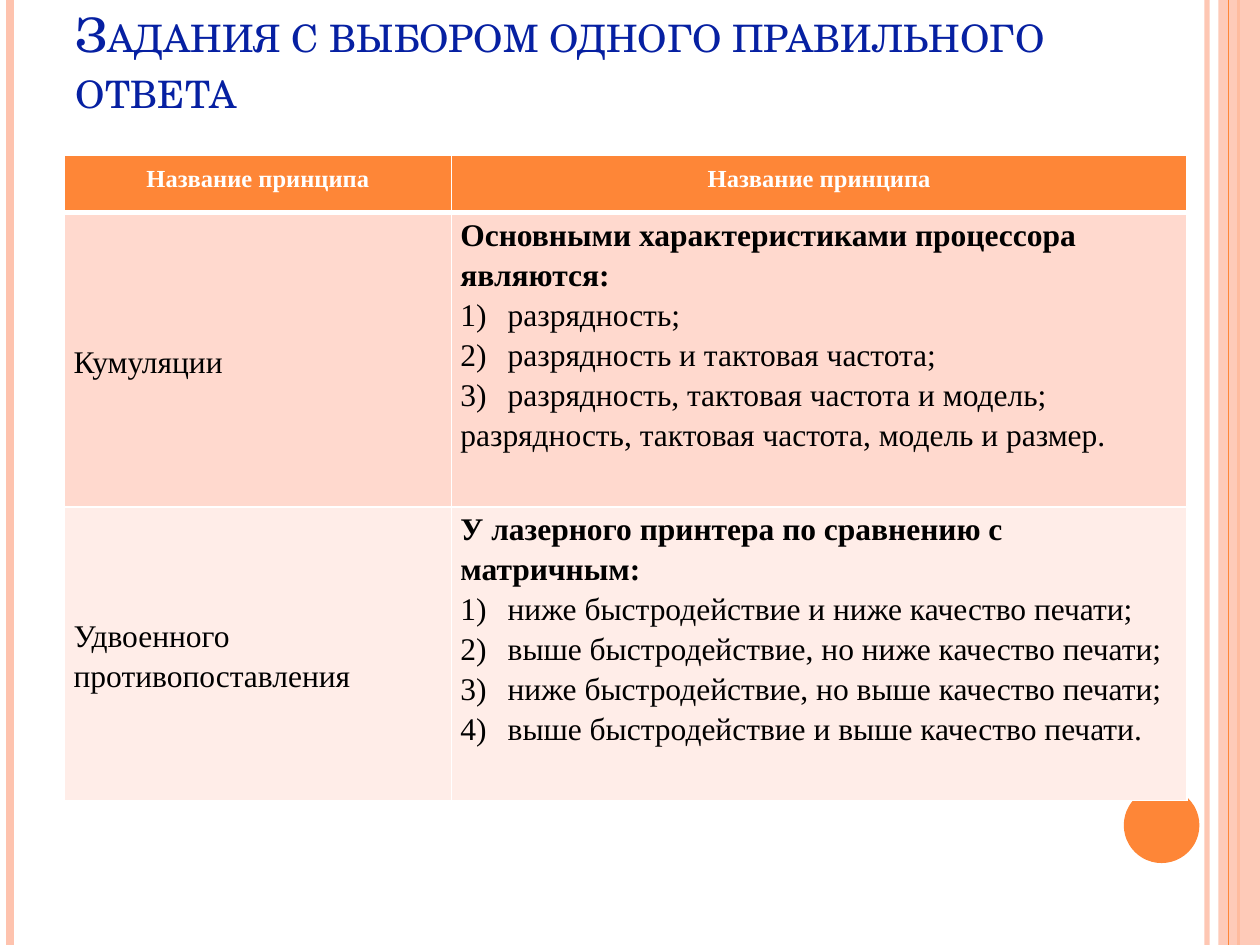
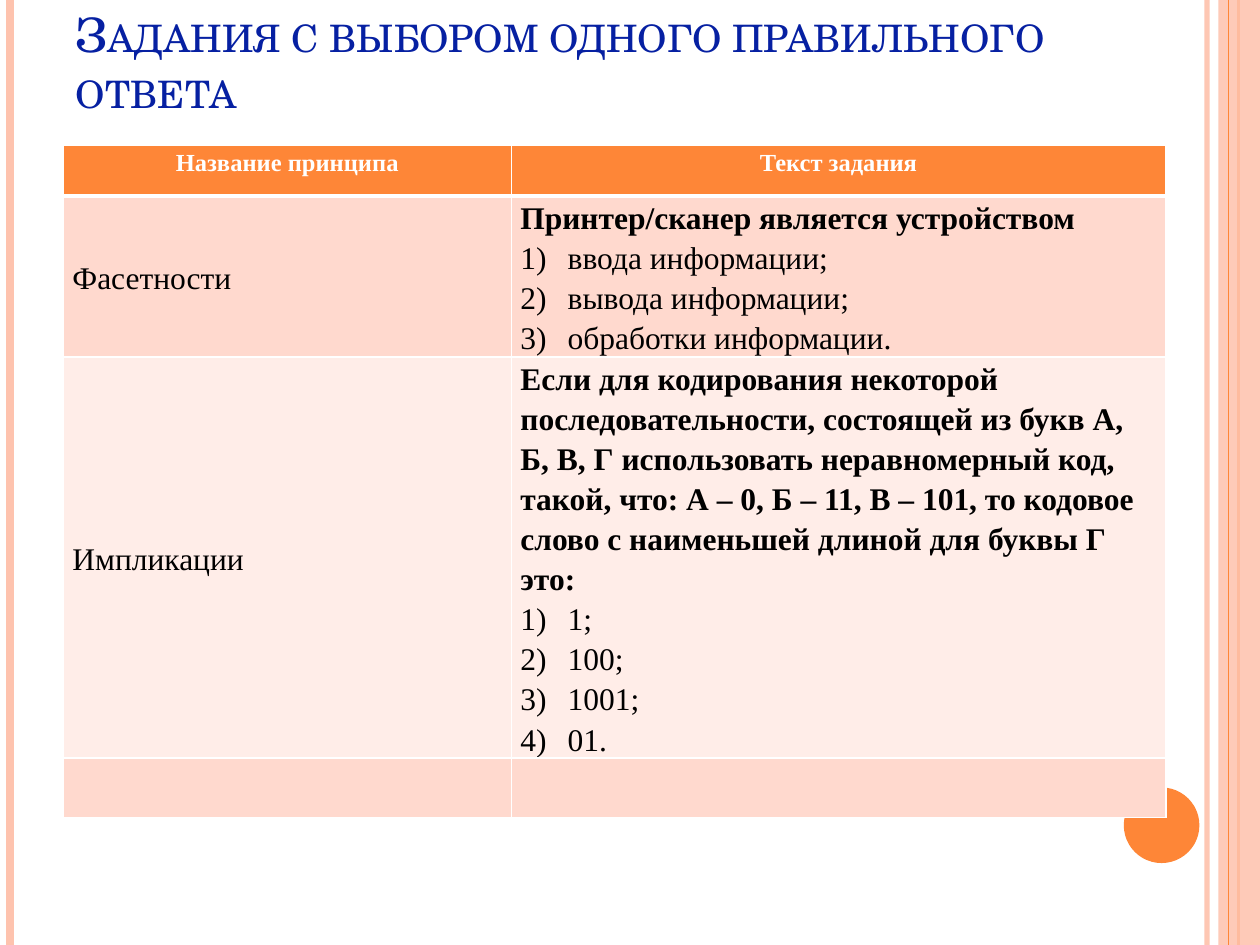
from dataclasses import dataclass

from pptx import Presentation
from pptx.dml.color import RGBColor
from pptx.enum.shapes import MSO_CONNECTOR, MSO_SHAPE
from pptx.enum.text import MSO_ANCHOR, MSO_AUTO_SIZE, PP_ALIGN
from pptx.oxml.ns import qn
from pptx.util import Pt
from lxml.etree import SubElement


@dataclass(frozen=True)
class Theme:
    orange: str = "FE8637"
    peach: str = "FEC3AE"
    title_blue: str = "0620A2"
    white: str = "FFFFFF"
    black: str = "000000"
    bands: tuple = ("FFD9CE", "FFEDE8")
    title_font: str = "TeX Gyre Schola"
    table_font: str = "Times New Roman"
    title_size: int = 27
    header_size: int = 14
    body_size: int = 18
    line_spacing: float = 1.15


THEME = Theme()
WIDTH, HEIGHT = 720, 540
TITLE = "Задания с выбором одного правильного ответа"
TITLE_BOX = (36, 21.6, 647.3, 49.7)

STRIPES_BEHIND = [(689.8, THEME.peach, 3, 93), (5.8, THEME.peach, 4.5, 100),
                  (707.8, THEME.orange, 1.5, 100)]
STRIPES_FRONT = [(702, THEME.orange, 0.75, 100)]
SIDE_BAND = (696.2, 0, WIDTH - 696.2, HEIGHT)
CIRCLE = (642.2, 450, 43.2, 43.2)

TABLES = [
    {
        "origin": (36.9, 88.6),
        "columns": (221, 420.5),
        "rows": (33, 168, 168),
        "header": ("Название принципа", "Название принципа"),
        "header_insets": (7.2, 3.6),
        "tasks": [
            ("Кумуляции",
             "Основными характеристиками процессора являются:",
             ["разрядность;",
              "разрядность и тактовая частота;",
              "разрядность, тактовая частота и модель;"],
             "разрядность, тактовая частота, модель и размер."),
            ("Удвоенного противопоставления",
             "У лазерного принтера по сравнению с матричным:",
             ["ниже быстродействие и ниже качество печати;",
              "выше быстродействие, но ниже качество печати;",
              "ниже быстродействие, но выше качество печати;",
              "выше быстродействие и выше качество печати."],
             None),
        ],
    },
    {
        "origin": (36.2, 83),
        "columns": (256, 374),
        "rows": (29, 92, 229, 34),
        "header": ("Название принципа", "Текст задания"),
        "header_insets": (5.2, 0),
        "tasks": [
            ("Фасетности",
             "Принтер/сканер является устройством",
             ["ввода информации;", "вывода информации;", "обработки информации."],
             None),
            ("Импликации",
             "Если для кодирования некоторой последовательности, состоящей из букв "
             "А, Б, В, Г использовать неравномерный код, такой, что: А – 0, Б – 11, "
             "В – 101, то кодовое слово с наименьшей длиной для буквы Г это:",
             ["1;", "100;", "1001;", "01."],
             None),
        ],
    },
]
BODY_INSETS = (5.2, 0)
ANSWER_INDENT = 27


def points(values):
    return [Pt(value) for value in values]


def color(value):
    return RGBColor.from_string(value)


def set_alpha(shape, percent):
    if percent < 100:
        for node in shape.element.spPr.iter(qn("a:srgbClr")):
            SubElement(node, qn("a:alpha"), val=str(percent * 1000))


def add_stripe(shapes, x, stripe_color, width, alpha):
    stripe = shapes.add_connector(MSO_CONNECTOR.STRAIGHT, *points((x, 0, x, HEIGHT)))
    stripe.line.color.rgb = color(stripe_color)
    stripe.line.width = Pt(width)
    set_alpha(stripe, alpha)
    SubElement(stripe.element.spPr, qn("a:effectLst"))
    return stripe


def add_filled(shapes, kind, box, fill_color, alpha=100):
    shape = shapes.add_shape(kind, *points(box))
    shape.shadow.inherit = False
    shape.fill.solid()
    shape.fill.fore_color.rgb = color(fill_color)
    shape.line.fill.background()
    set_alpha(shape, alpha)
    return shape


def decorate_master(slide, master):
    shapes = slide.shapes
    decorations = [
        *[add_stripe(shapes, *stripe) for stripe in STRIPES_BEHIND],
        add_filled(shapes, MSO_SHAPE.RECTANGLE, SIDE_BAND, THEME.peach, 87),
        *[add_stripe(shapes, *stripe) for stripe in STRIPES_FRONT],
        add_filled(shapes, MSO_SHAPE.OVAL, CIRCLE, THEME.orange),
    ]
    for number, shape in enumerate(decorations, start=101):
        shape.element.xpath(".//p:cNvPr")[0].set("id", str(number))
        master.shapes.element.append(shape.element)


def format_runs(paragraph, font_name, size, font_color, bold=False):
    for run in paragraph.runs:
        run.font.name = font_name
        run.font.size = Pt(size)
        run.font.bold = bold
        run.font.color.rgb = color(font_color)


def set_title(slide):
    title = slide.shapes.title
    title.left, title.top, title.width, title.height = points(TITLE_BOX)
    frame = title.text_frame
    frame.text = TITLE
    frame.auto_size = MSO_AUTO_SIZE.NONE
    frame.word_wrap = True
    frame.vertical_anchor = MSO_ANCHOR.BOTTOM
    paragraph = frame.paragraphs[0]
    paragraph.alignment = PP_ALIGN.LEFT
    format_runs(paragraph, THEME.title_font, THEME.title_size, THEME.title_blue)
    paragraph.runs[0].font._element.set("cap", "small")


def style_cell(cell, fill_color, insets, bottom_border=1):
    properties = cell._tc.get_or_add_tcPr()
    for side, width in (("L", 1), ("R", 1), ("T", 1), ("B", bottom_border)):
        line = SubElement(properties, qn(f"a:ln{side}"), w=str(Pt(width)))
        SubElement(SubElement(line, qn("a:solidFill")), qn("a:srgbClr"), val=THEME.white)
    cell.fill.solid()
    cell.fill.fore_color.rgb = color(fill_color)
    cell.margin_left = cell.margin_right = Pt(insets[0])
    cell.margin_top = cell.margin_bottom = Pt(insets[1])


def write_paragraph(paragraph, text, alignment=PP_ALIGN.LEFT, bold=False,
                    size=THEME.body_size, font_color=THEME.black):
    paragraph.text = text
    paragraph.alignment = alignment
    paragraph.line_spacing = THEME.line_spacing
    format_runs(paragraph, THEME.table_font, size, font_color, bold)


def number_answer(paragraph):
    properties = paragraph._p.get_or_add_pPr()
    properties.set("marL", str(Pt(ANSWER_INDENT)))
    properties.set("indent", str(-Pt(ANSWER_INDENT)))
    SubElement(properties, qn("a:buFont"), typeface="+mj-lt")
    SubElement(properties, qn("a:buAutoNum"), type="arabicParenR")


def write_task(name_cell, task_cell, name, question, answers, closing):
    name_cell.vertical_anchor = MSO_ANCHOR.MIDDLE
    write_paragraph(name_cell.text_frame.paragraphs[0], name)
    frame = task_cell.text_frame
    write_paragraph(frame.paragraphs[0], question, bold=True)
    for answer in answers:
        paragraph = frame.add_paragraph()
        write_paragraph(paragraph, answer, PP_ALIGN.JUSTIFY)
        number_answer(paragraph)
    if closing:
        write_paragraph(frame.add_paragraph(), closing, PP_ALIGN.JUSTIFY)


def add_task_table(slide, data):
    columns, rows = data["columns"], data["rows"]
    box = (*data["origin"], sum(columns), sum(rows))
    table = slide.shapes.add_table(len(rows), len(columns), *points(box)).table
    for column, width in zip(table.columns, columns):
        column.width = Pt(width)
    for index, (row, height) in enumerate(zip(table.rows, rows)):
        row.height = Pt(height)
        for cell in row.cells:
            if index == 0:
                style_cell(cell, THEME.orange, data["header_insets"], 3)
            else:
                style_cell(cell, THEME.bands[(index - 1) % 2], BODY_INSETS)
    for cell, text in zip(table.rows[0].cells, data["header"]):
        write_paragraph(cell.text_frame.paragraphs[0], text, PP_ALIGN.CENTER, True,
                        THEME.header_size, THEME.white)
    for index, task in enumerate(data["tasks"], start=1):
        write_task(table.cell(index, 0), table.cell(index, 1), *task)


def main():
    presentation = Presentation()
    presentation.slide_width, presentation.slide_height = points((WIDTH, HEIGHT))
    layout = presentation.slide_layouts.get_by_name("Title Only")
    for index, data in enumerate(TABLES):
        slide = presentation.slides.add_slide(layout)
        if index == 0:
            decorate_master(slide, presentation.slide_master)
        set_title(slide)
        add_task_table(slide, data)
    presentation.save("out.pptx")


if __name__ == "__main__":
    main()
